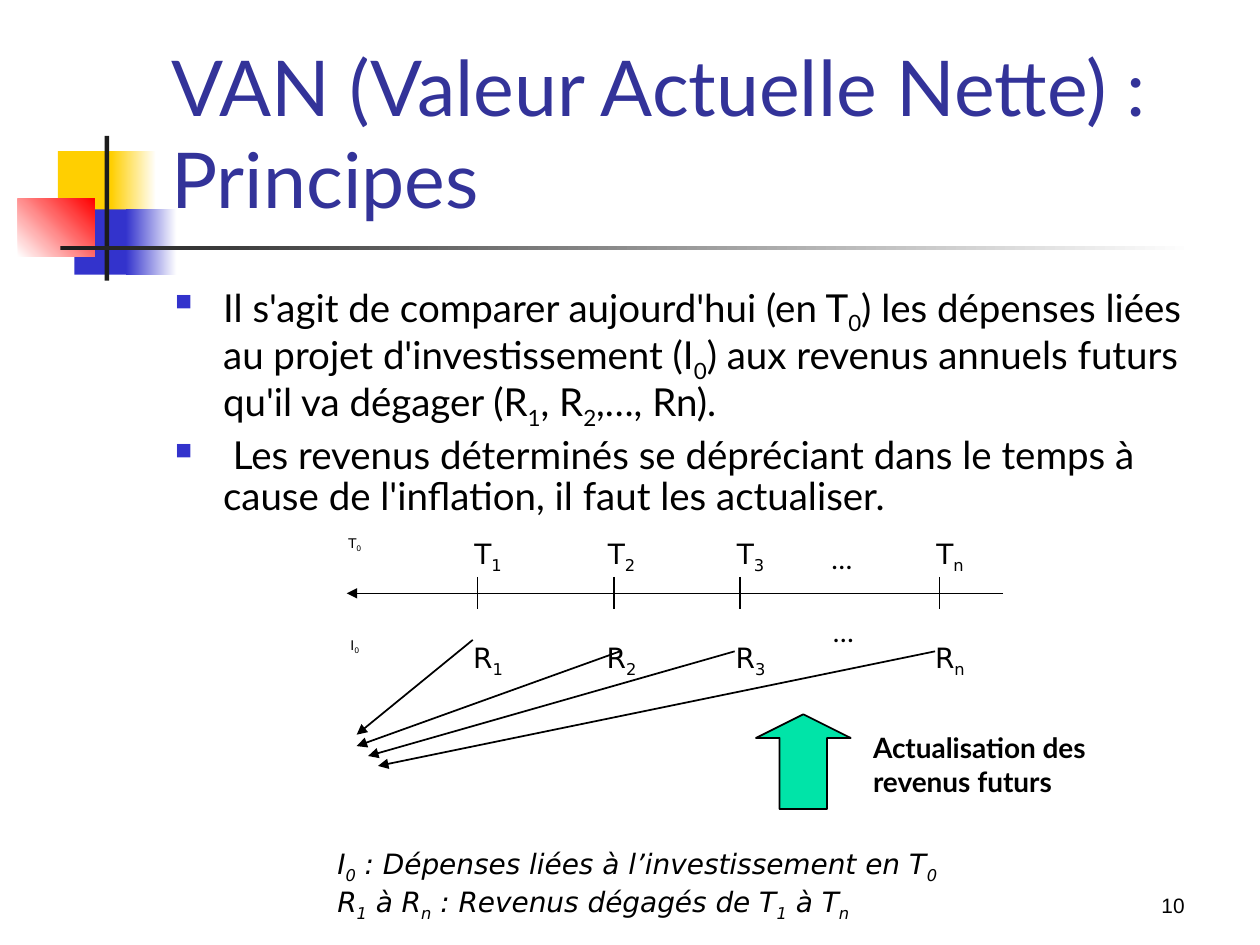
"""Build the slide on the principles of net present value (VAN)."""
import pptx
import pptx.dml.color
import pptx.enum.shapes
import pptx.enum.text
import pptx.oxml.ns
import pptx.util
from lxml import etree

Cm = pptx.util.Cm
Pt = pptx.util.Pt
RGBColor = pptx.dml.color.RGBColor
Shape = pptx.enum.shapes.MSO_SHAPE
Align = pptx.enum.text.PP_ALIGN
qn = pptx.oxml.ns.qn

BLACK = RGBColor(0x00, 0x00, 0x00)
WHITE = RGBColor(0xFF, 0xFF, 0xFF)
CHARCOAL = RGBColor(0x1C, 0x1C, 0x1C)
YELLOW = RGBColor(0xFF, 0xCF, 0x01)
BLUE = RGBColor(0x33, 0x33, 0xCC)
RED = RGBColor(0xFF, 0x00, 0x00)
TITLE_BLUE = RGBColor(0x33, 0x33, 0x99)
GREEN = RGBColor(0x00, 0xE4, 0xA8)

ORNAMENTS = [
    (1.17, 3.05, 1.22, 1.32, [YELLOW], 0),
    (2.24, 3.05, 0.91, 1.32, [YELLOW, WHITE], 0),
    (1.50, 4.22, 1.17, 1.32, [BLUE], 0),
    (2.54, 4.22, 1.02, 1.32, [BLUE, WHITE], 0),
    (0.36, 4.01, 1.55, 1.17, [WHITE, RED], 45),
    (2.11, 2.74, 0.09, 2.92, [CHARCOAL], 0),
    (1.22, 4.95, 22.86, 0.09, [CHARCOAL, WHITE], 0),
]
PRINCIPLES = [
    "Il s'agit de comparer aujourd'hui (en T_0) les dépenses liées au projet "
    "d'investissement (I_0) aux revenus annuels futurs qu'il va dégager "
    "(R_1, R_2,…, Rn).",
    " Les revenus déterminés se dépréciant dans le temps à cause de "
    "l'inflation, il faut les actualiser.",
]
LEGEND = [
    "I_0 : Dépenses liées à l’investissement en T_0",
    "R_1 à R_n : Revenus dégagés de T_1 à T_n",
]
PERIODS = [("1", 9.63, 2.96), ("2", 12.38, 2.84), ("3", 14.92, 2.96), ("n", 18.94, 2.96)]
DISCOUNTS = [
    ((9.53, 12.9), (7.19, 14.81)),
    ((12.5, 13.13), (7.19, 15.04)),
    ((14.81, 13.13), (7.42, 15.24)),
    ((18.85, 13.13), (7.62, 15.44)),
]
ELLIPSES = [(16.51, 10.8), (16.54, 12.27)]


def add_ornament(slide, left, top, width, height, colors, angle):
    """Add a borderless rectangle with a plain or two-colour gradient fill."""
    block = slide.shapes.add_shape(
        Shape.RECTANGLE, Cm(left), Cm(top), Cm(width), Cm(height))
    block.shadow.inherit = False
    block.line.fill.background()
    if len(colors) == 1:
        block.fill.solid()
        block.fill.fore_color.rgb = colors[0]
        return
    block.fill.gradient()
    block.fill.gradient_angle = angle
    for stop, color in zip(block.fill.gradient_stops, colors):
        stop.color.rgb = color


def style_run(run, size, font, color=BLACK, bold=False, italic=False):
    """Set the character formatting of a run."""
    run.font.size = Pt(size)
    run.font.name = font
    run.font.color.rgb = color
    run.font.bold = bold
    run.font.italic = italic


def write_indexed(paragraph, text, size, font, **style):
    """Write text in which the character after each underscore is a subscript."""
    base, *indexed = text.split("_")
    pieces = [(base, False)]
    for part in indexed:
        pieces += [(part[0], True), (part[1:], False)]
    for piece, lowered in pieces:
        if piece:
            run = paragraph.add_run()
            run.text = piece
            style_run(run, size, font, **style)
            if lowered:
                run.font._element.set("baseline", "-25000")


def add_text(slide, box, lines, size, font, align=Align.LEFT, spacing=1.0,
             gap=0, wrap=True, **style):
    """Add a text box with one paragraph per line and return its paragraphs."""
    frame = slide.shapes.add_textbox(*map(Cm, box)).text_frame
    frame.word_wrap = wrap
    for index, line in enumerate(lines):
        paragraph = frame.add_paragraph() if index else frame.paragraphs[0]
        paragraph.alignment = align
        paragraph.line_spacing = spacing
        if index:
            paragraph.space_before = Pt(gap)
        write_indexed(paragraph, line, size, font, **style)
    return frame.paragraphs


def add_bullet(paragraph):
    """Give a paragraph a hanging blue square bullet."""
    properties = paragraph._p.get_or_add_pPr()
    properties.set("marL", str(Cm(0.97)))
    properties.set("indent", str(-Cm(0.97)))
    color = etree.SubElement(properties, qn("a:buClr"))
    etree.SubElement(color, qn("a:srgbClr"), val=str(BLUE))
    etree.SubElement(properties, qn("a:buSzPct"), val="60000")
    etree.SubElement(properties, qn("a:buChar"), char="■")


def add_line(slide, start, end, width, arrow=False):
    """Add a black straight line, with an arrowhead at its end if asked."""
    line = slide.shapes.add_connector(
        pptx.enum.shapes.MSO_CONNECTOR.STRAIGHT, *map(Cm, start + end))
    line.line.color.rgb = BLACK
    line.line.width = Pt(width)
    properties = line.element.spPr
    if arrow:
        etree.SubElement(properties.find(qn("a:ln")), qn("a:tailEnd"), type="triangle")
    etree.SubElement(properties, qn("a:effectLst"))


def set_title(slide, text):
    """Place and format the title placeholder."""
    title = slide.shapes.title
    title.left, title.top, title.width, title.height = map(Cm, (3.2, 0.58, 21.64, 4.06))
    frame = title.text_frame
    frame.text = text
    frame.word_wrap = True
    frame.auto_size = pptx.enum.text.MSO_AUTO_SIZE.NONE
    frame.vertical_anchor = pptx.enum.text.MSO_ANCHOR.BOTTOM
    frame.paragraphs[0].alignment = Align.LEFT
    for run in frame.paragraphs[0].runs:
        style_run(run, 44, "Lato", TITLE_BLUE)


def add_timeline(slide):
    """Draw the time axis with its periods, revenues and discounting arrows."""
    add_line(slide, (20.22, 11.96), (6.99, 11.96), 0.75, arrow=True)
    add_text(slide, (5.72, 10.69, 2.87, 2.87), ["T_0", "I_0"], 7.6, "DejaVu Sans",
             align=Align.CENTER, spacing=0.8, gap=50)
    for period, tick, width in PERIODS:
        add_line(slide, (tick, 11.63), (tick, 12.27), 0.75)
        add_text(slide, (tick - 1.27, 10.69, width, 2.87),
                 [f"T_{period}", f"R_{period}"], 16, "DejaVu Sans",
                 align=Align.CENTER, gap=37.5)
    for left, top in ELLIPSES:
        add_text(slide, (left, top, 0.94, 0.94), ["…"], 16, "Lato", wrap=False)
    for revenue, present in DISCOUNTS:
        add_line(slide, revenue, present, 1, arrow=True)


def add_up_arrow(slide):
    """Add the green arrow that points at the discounted revenues."""
    arrow = slide.shapes.add_shape(
        Shape.UP_ARROW, Cm(15.24), Cm(14.4), Cm(1.91), Cm(1.91))
    arrow.adjustments[0] = 0.5
    arrow.adjustments[1] = 0.25
    arrow.shadow.inherit = False
    arrow.fill.solid()
    arrow.fill.fore_color.rgb = GREEN
    arrow.line.color.rgb = BLACK
    arrow.line.width = Pt(1)


def main():
    """Build and save the slide."""
    presentation = pptx.Presentation()
    presentation.slide_width = Cm(25.4)
    presentation.slide_height = Cm(19.05)
    slide = presentation.slides.add_slide(presentation.slide_layouts[5])
    for ornament in ORNAMENTS:
        add_ornament(slide, *ornament)
    set_title(slide, "VAN (Valeur Actuelle Nette) :\vPrincipes")
    principles = add_text(slide, (3.28, 5.61, 21.59, 7.32), PRINCIPLES, 22, "Lato",
                          spacing=0.9, gap=5.5)
    for principle in principles:
        add_bullet(principle)
    add_timeline(slide)
    add_up_arrow(slide)
    add_text(slide, (17.35, 14.61, 5.92, 1.63), ["Actualisation des revenus futurs"],
             16, "Lato", bold=True)
    add_text(slide, (6.55, 16.94, 13.97, 1.8), LEGEND, 16, "DejaVu Sans", italic=True)
    add_text(slide, (20.9, 17.93, 3.23, 0.81), ["10"], 11.9, "Arial",
             align=Align.RIGHT, spacing=0.9)
    presentation.save("out.pptx")


if __name__ == "__main__":
    main()
